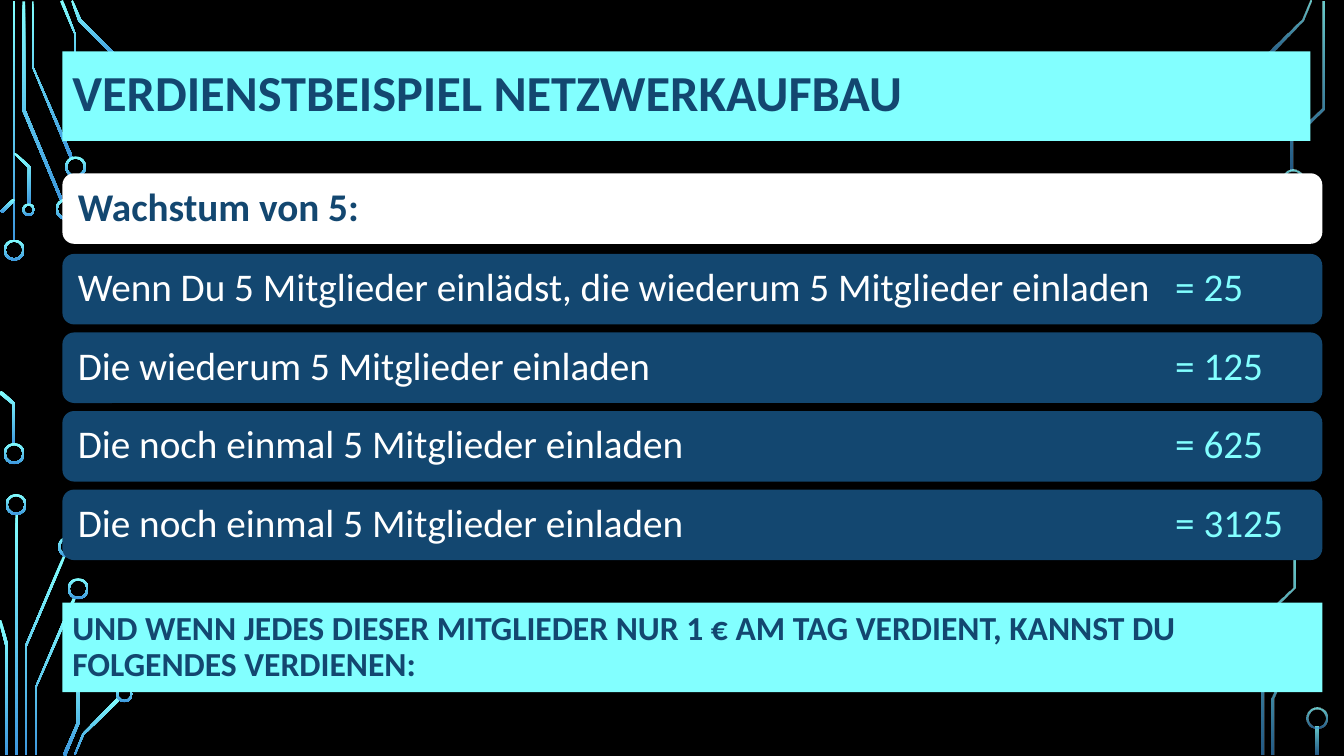
import math
from pptx import Presentation
from pptx import util as u
from pptx.dml.color import RGBColor
from pptx.enum import shapes, text
from pptx.oxml import parse_xml
from pptx.oxml.ns import nsdecls, qn

CYAN, SKY, NAVY, WHITE, BLACK = "82FFFF", "3D97DE", "134770", "FFFFFF", "000000"
LEFT, WIDE = 44.6, 900
OPAQUE, FADED = (100, 100), (80, 60)

# Centre lines of the circuit traces
WEST = [
    [(9.7, 0.7), (9.7, 172.8)],
    [(44, 143), (16.6, 78.5), (16.6, 0.7)],
    [(23.5, 0.7), (23.5, 48), (51, 112.8)],
    [(44, 0.4), (53.6, 23.8), (53.6, 72)],
    [(51.5, 0.4), (57.2, 14.7), (83.2, 41)],
    [(1.1, 151.2), (10.1, 142.6)],
    [(0, 280), (10.1, 288.7), (10.1, 317.5)],
    [(10.8, 109.4), (20.9, 119.2), (20.9, 146.2)],
    [(11.7, 367.2), (11.7, 539.3)],
    [(18.4, 538.6), (18.4, 461.5), (45.7, 397)],
    [(4.7, 538.6), (4.7, 461.5), (0, 443.2)],
    [(25.6, 539.3), (25.6, 491.2), (52.9, 427.3)],
    [(45.7, 539.6), (55.8, 516.2), (55.8, 468)],
    [(53.6, 538.9), (59.4, 524.9), (85, 499)],
]
EAST = [
    [(905, 40), (930.6, 14.4), (936.4, 0.4)],
    [(909, 539.3), (909, 499), (931, 449)],
    [(923, 121.7), (923, 99.7), (945, 77.4), (945, 0.7)],
    [(901.8, 539.3), (901.8, 441.7), (924.1, 420.1), (924.1, 397.4)],
    [(941.4, 519.1), (941.4, 539.3)],
]
# Ring centres and diameters
WEST_RINGS = [
    (10.1, 178.6, 15), (10.1, 324, 15), (47.2, 149.4, 15), (54, 119.2, 15),
    (11.5, 360.4, 15), (49, 390.6, 15), (55.8, 420.5, 15), (20.5, 149.8, 9),
    (88.9, 495.6, 12),
]
EAST_RINGS = [(901.1, 43.6, 12), (923.4, 128.9, 15), (940.7, 512.6, 15)]

ROWS = [
    ("Wenn Du 5 Mitglieder einlädst, die wiederum 5 Mitglieder einladen", "= 25"),
    ("Die wiederum 5 Mitglieder einladen", "= 125"),
    ("Die noch einmal 5 Mitglieder einladen", "= 625"),
    ("Die noch einmal 5 Mitglieder einladen", "= 3125"),
]


def rgb(code):
    return RGBColor.from_string(code)


def edge(line, half):
    """Shift a polyline sideways by half, with mitred corners."""
    norms = []
    for (x1, y1), (x2, y2) in zip(line, line[1:]):
        size = math.hypot(x2 - x1, y2 - y1)
        norms.append(((y1 - y2) / size, (x2 - x1) / size))
    out = []
    for (x, y), (ax, ay), (bx, by) in zip(line, norms[:1] + norms, norms + norms[-1:]):
        scale = half / (1 + ax * bx + ay * by)
        out.append((x + (ax + bx) * scale, y + (ay + by) * scale))
    return out


def write(shape, *runs, size=28, bold=False, inset=(7.2, 3.6, 7.2, 3.6), tab=None):
    """Fill a shape with one paragraph of (text, colour) runs."""
    frame = shape.text_frame
    frame.word_wrap = True
    frame.vertical_anchor = text.MSO_ANCHOR.MIDDLE
    (frame.margin_left, frame.margin_top,
     frame.margin_right, frame.margin_bottom) = map(u.Pt, inset)
    para = frame.paragraphs[0]
    para.alignment = text.PP_ALIGN.LEFT
    para.line_spacing = 0.9
    if tab:
        para._p.get_or_add_pPr().append(parse_xml(
            f'<a:tabLst {nsdecls("a")}><a:tab pos="{u.Pt(tab)}" algn="l"/></a:tabLst>'))
    for words, color in runs:
        run = para.add_run()
        run.text = words
        run.font.name = "Calibri"
        run.font.size = u.Pt(size)
        run.font.bold = bold
        run.font.color.rgb = rgb(color)


class Deck:
    def __init__(self):
        self.show = Presentation()
        self.show.slide_width, self.show.slide_height = u.Pt(960), u.Pt(540)
        self.slide = self.show.slides.add_slide(self.show.slide_layouts[6])
        self.slide.background.fill.solid()
        self.slide.background.fill.fore_color.rgb = rgb(BLACK)

    def glow(self, shape, alphas):
        """Give a trace or ring its cyan to blue gradient."""
        shape.shadow.inherit = False
        shape.line.fill.background()
        shape.fill.gradient()
        shape.fill.gradient_angle = 270
        for stop, color in zip(shape.fill.gradient_stops, (CYAN, SKY)):
            stop.color.rgb = rgb(color)
        for node, alpha in zip(shape._element.spPr.iter(qn("a:srgbClr")), alphas):
            if alpha < 100:
                node.append(parse_xml(
                    f'<a:alpha {nsdecls("a")} val="{alpha * 1000}"/>'))

    def trace(self, line, alphas):
        pts = edge(line, 0.9) + edge(line, -0.9)[::-1]
        pen = self.slide.shapes.build_freeform(*pts[0], scale=u.Pt(1))
        pen.add_line_segments(pts[1:], close=True)
        self.glow(pen.convert_to_shape(), alphas)

    def ring(self, x, y, size, alphas):
        ring = self.slide.shapes.add_shape(
            shapes.MSO_SHAPE.DONUT, u.Pt(x - size / 2), u.Pt(y - size / 2),
            u.Pt(size), u.Pt(size))
        ring.adjustments[0] = 1.5 / size
        self.glow(ring, alphas)

    def bar(self, top, high, color, wide=WIDE, kind=shapes.MSO_SHAPE.RECTANGLE):
        bar = self.slide.shapes.add_shape(
            kind, u.Pt(LEFT), u.Pt(top), u.Pt(wide), u.Pt(high))
        bar.shadow.inherit = False
        bar.line.fill.background()
        bar.fill.solid()
        bar.fill.fore_color.rgb = rgb(color)
        return bar

    def row(self, top, color, *runs, **style):
        bar = self.bar(top, 50.4, color, kind=shapes.MSO_SHAPE.ROUNDED_RECTANGLE)
        write(bar, *runs, inset=(8.64,) * 4, **style)


def main():
    deck = Deck()
    for lines, rings, alphas in ((WEST, WEST_RINGS, OPAQUE), (EAST, EAST_RINGS, FADED)):
        for line in lines:
            deck.trace(line, alphas)
        for ring in rings:
            deck.ring(*ring, alphas)

    title = deck.bar(36.7, 64, CYAN, wide=891.4)
    write(title, ("VERDIENSTBEISPIEL NETZWERKAUFBAU", NAVY), size=36, bold=True,
          inset=(7.2, 3.6, 7.2, 5.6))

    deck.row(123.8, WHITE, ("Wachstum von 5:", NAVY), bold=True)
    for i, (label, total) in enumerate(ROWS):
        deck.row(181.4 + 56.1 * i, NAVY, (label + "\t", WHITE), (total, CYAN), tab=783.8)

    close = deck.bar(430.4, 64, CYAN)
    write(close, ("UND WENN JEDES DIESER MITGLIEDER NUR 1 € AM TAG VERDIENT, "
                  "KANNST DU FOLGENDES VERDIENEN:", NAVY), size=24, bold=True)
    deck.show.save("out.pptx")


if __name__ == "__main__":
    main()
